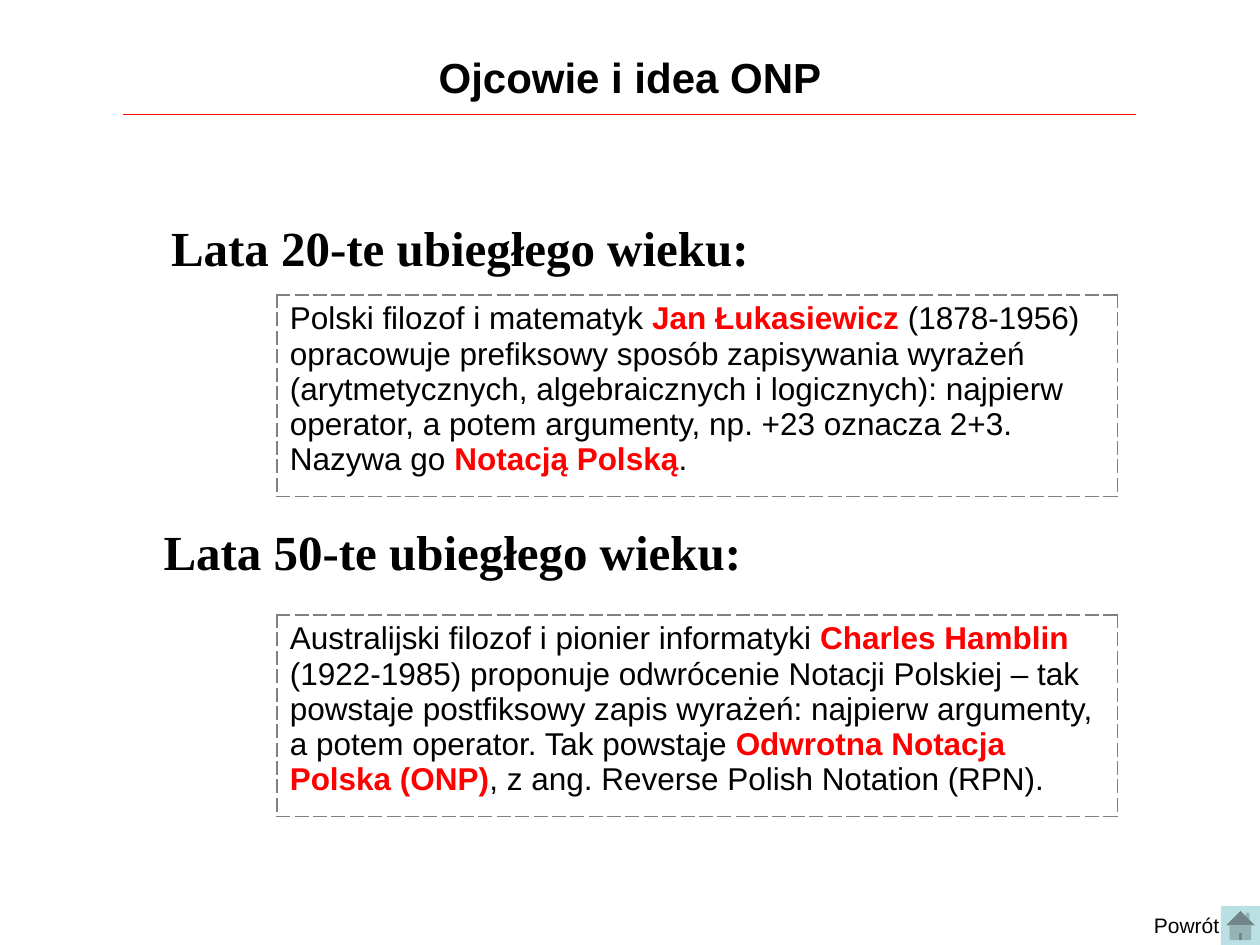
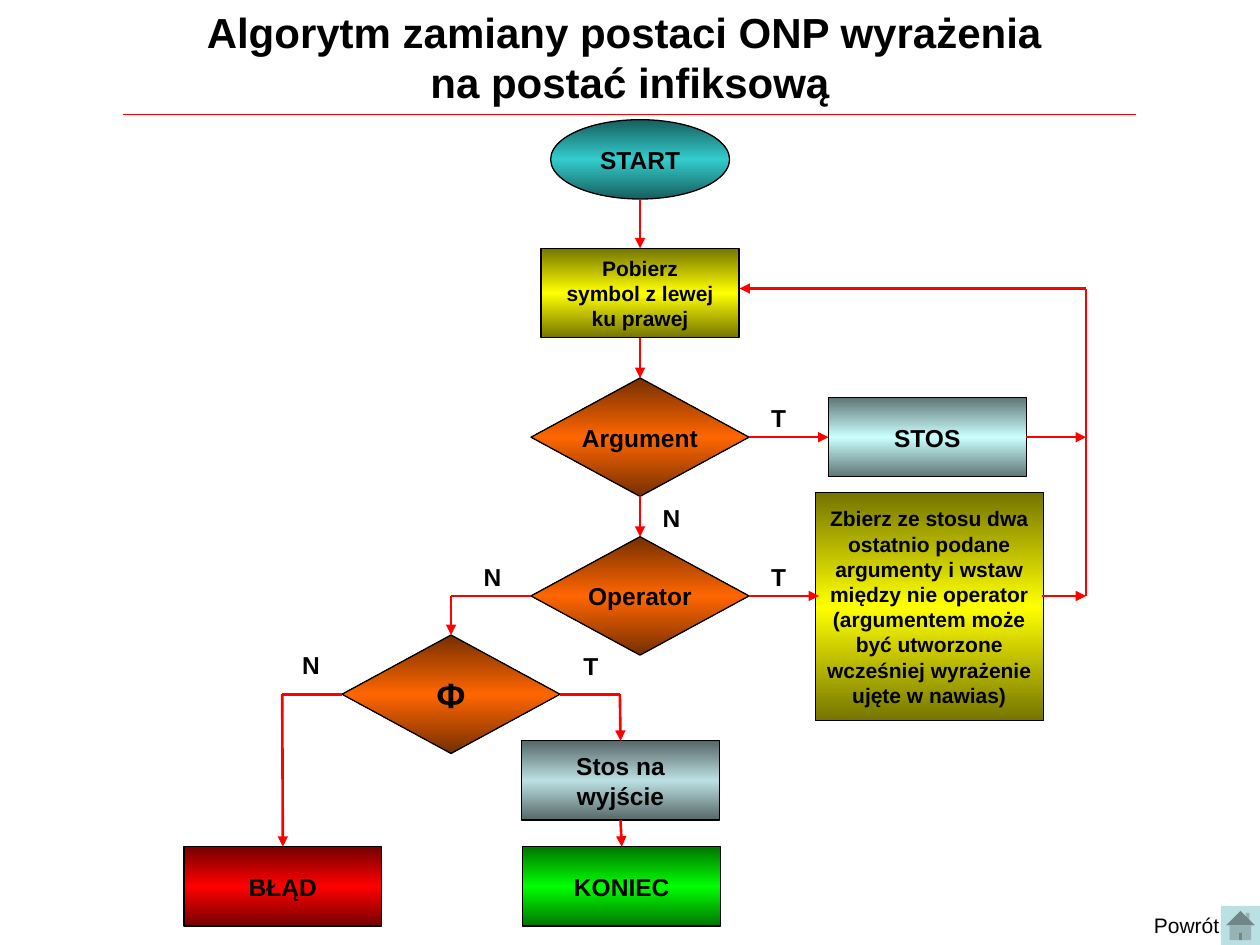
"""Build two slides on reverse Polish notation: its history and a conversion flowchart."""
from copy import deepcopy

from lxml.etree import SubElement
from pptx import Presentation
from pptx.dml.color import RGBColor
from pptx.enum.shapes import MSO_CONNECTOR, MSO_SHAPE as Shape
from pptx.enum.text import MSO_ANCHOR as Anchor, MSO_AUTO_SIZE, PP_ALIGN as Align
from pptx.oxml.ns import qn
from pptx.util import Inches, Pt

BLACK, RED, GRAY, PALE_BLUE = "000000", "FF0000", "808080", "BBE0E3"
YELLOW, ORANGE, TEAL, ICE, GREEN = "FFFF00", "FF6600", "33CCCC", "CCFFFF", "00FF00"
color_of = RGBColor.from_string

presentation = Presentation()
presentation.slide_width, presentation.slide_height = Inches(10), Inches(7.5)
COLUMN = presentation.slide_width / 100
ROW = presentation.slide_height / 75


def write(frame, text, size=14, bold=False, font="Arial", align=Align.LEFT,
          anchor=Anchor.TOP, wrap=True, inset=(1, 0.5)):
    """Fill a text frame; parts between asterisks turn red and bold."""
    frame.word_wrap, frame.vertical_anchor = wrap, anchor
    frame.auto_size = MSO_AUTO_SIZE.NONE
    frame.margin_left = frame.margin_right = int(inset[0] * COLUMN)
    frame.margin_top = frame.margin_bottom = int(inset[1] * ROW)
    paragraph = frame.paragraphs[0]
    paragraph.alignment, paragraph.space_before = align, Pt(0)
    for line_number, line in enumerate(text.split("\v")):
        if line_number:
            paragraph.add_line_break()
        for part_number, part in enumerate(line.split("*")):
            marked = part_number % 2 == 1
            run = paragraph.add_run()
            run.text = part
            run.font.name, run.font.size = font, Pt(size)
            run.font.bold = bold or marked
            run.font.color.rgb = color_of(RED if marked else BLACK)


def connect(slide, start, end, width=1.5, arrow=False):
    """Draw a red line between grid points or (shape, side) pairs."""
    connector = slide.shapes.add_connector(MSO_CONNECTOR.STRAIGHT, 0, 0, 0, 0)
    if isinstance(start[0], (int, float)):
        connector.begin_x, connector.begin_y = int(start[0] * COLUMN), int(start[1] * ROW)
    else:
        connector.begin_connect(*start)
    if isinstance(end[0], (int, float)):
        connector.end_x, connector.end_y = int(end[0] * COLUMN), int(end[1] * ROW)
    else:
        connector.end_connect(*end)
    connector.line.color.rgb = color_of(RED)
    connector.line.width = Pt(width)
    properties = connector.element.spPr
    if arrow:
        SubElement(properties.find(qn("a:ln")), qn("a:tailEnd"), type="triangle")
    SubElement(properties, qn("a:effectLst"))


title_style = presentation.slide_master.element.find(
    f".//{qn('p:titleStyle')}/{qn('a:lvl1pPr')}/{qn('a:defRPr')}")
title_style.set("sz", "2400")

slides = []
for title, top, height in (
    ("Ojcowie i idea ONP", 3.6, 5),
    ("Algorytm zamiany postaci ONP wyrażenia \vna postać infiksową", 0, 9),
):
    slide = presentation.slides.add_slide(presentation.slide_layouts[5])
    slides.append(slide)
    shape = slide.shapes.title
    shape.left, shape.top = 0, int(top * ROW)
    shape.width, shape.height = presentation.slide_width, int(height * ROW)
    write(shape.text_frame, title, size=24, bold=True, align=Align.CENTER)
    connect(slide, (9.8, 9.1), (90.2, 9.1), width=0.75)

    button = slide.shapes.add_shape(Shape.ACTION_BUTTON_HOME, int(96.9 * COLUMN),
                                    int(71.9 * ROW), int(3.1 * COLUMN), int(3.1 * ROW))
    button.shadow.inherit = False
    button.fill.solid()
    button.fill.fore_color.rgb = color_of(PALE_BLUE)
    button.line.fill.background()
    label = slide.shapes.add_textbox(int(90.6 * COLUMN), int(71.9 * ROW),
                                     int(7.9 * COLUMN), int(3 * ROW))
    write(label.text_frame, "Powrót", size=12)

history, flowchart = slides

for heading, left, heading_top, box_top, story in (
    ("Lata 20-te ubiegłego wieku:", 12.6, 16.8, 23.4,
     "Polski filozof i matematyk *Jan Łukasiewicz *(1878-1956) opracowuje prefiksowy "
     "sposób zapisywania wyrażeń (arytmetycznych, algebraicznych i logicznych): najpierw "
     "operator, a potem argumenty, np. +23 oznacza 2+3. Nazywa go *Notacją Polską*."),
    ("Lata 50-te ubiegłego wieku:", 12, 40.9, 48.8,
     "Australijski filozof i pionier informatyki *Charles Hamblin* (1922-1985) proponuje "
     "odwrócenie Notacji Polskiej – tak powstaje postfiksowy zapis wyrażeń: najpierw "
     "argumenty, a potem operator. Tak powstaje *Odwrotna Notacja Polska (ONP)*, "
     "z ang. Reverse Polish Notation (RPN)."),
):
    box = history.shapes.add_textbox(int(left * COLUMN), int(heading_top * ROW),
                                     int(75 * COLUMN), int(5.7 * ROW))
    write(box.text_frame, heading, size=28, bold=True, font="Times New Roman")

    table = history.shapes.add_table(1, 1, int(22 * COLUMN), int(box_top * ROW),
                                     int(66.7 * COLUMN), int(16 * ROW)).table
    table.first_row = table.horz_banding = False
    cell = table.cell(0, 0)
    write(cell.text_frame, story, size=18)
    properties = cell._tc.get_or_add_tcPr()
    for side in ("lnL", "lnR", "lnT", "lnB"):
        border = SubElement(properties, qn(f"a:{side}"), w=str(Pt(1.08)))
        SubElement(SubElement(border, qn("a:solidFill")), qn("a:srgbClr"), val=GRAY)
        SubElement(border, qn("a:prstDash"), val="dash")
    cell.fill.background()

nodes = {}
for name, kind, center_x, center_y, width, height, color, size, text in (
    ("start", Shape.OVAL, 50.8, 12.65, 14.2, 6.3, TEAL, 14, "START"),
    ("fetch", Shape.RECTANGLE, 50.8, 23.25, 15.7, 7.1, YELLOW, 12,
     "Pobierz symbol z lewej ku prawej"),
    ("argument", Shape.DIAMOND, 50.8, 34.7, 17.3, 9.4, ORANGE, 14, "Argument"),
    ("operator", Shape.DIAMOND, 50.8, 47.3, 17.3, 9.4, ORANGE, 14, "Operator"),
    ("empty", Shape.DIAMOND, 35.8, 55.1, 17.3, 9.4, ORANGE, 20, "Φ"),
    ("stack", Shape.RECTANGLE, 73.6, 34.7, 15.7, 6.3, ICE, 14, "STOS"),
    ("combine", Shape.RECTANGLE, 73.75, 48.15, 18.1, 18.1, YELLOW, 12,
     "Zbierz ze stosu dwa ostatnio podane argumenty i wstaw między nie operator "
     "(argumentem może być utworzone wcześniej wyrażenie ujęte w nawias)"),
    ("output", Shape.RECTANGLE, 49.25, 61.95, 15.7, 6.3, PALE_BLUE, 14, "Stos na wyjście"),
    ("error", Shape.RECTANGLE, 22.45, 70.35, 15.7, 6.3, RED, 14, "BŁĄD"),
    ("end", Shape.RECTANGLE, 49.35, 70.35, 15.7, 6.3, GREEN, 14, "KONIEC"),
):
    node = flowchart.shapes.add_shape(
        kind, int((center_x - width / 2) * COLUMN), int((center_y - height / 2) * ROW),
        int(width * COLUMN), int(height * ROW))
    nodes[name] = node
    node.shadow.inherit = False
    node.line.color.rgb = color_of(BLACK)
    node.line.width = Pt(0.75)
    node.fill.gradient()
    node.fill.gradient_angle = 90
    stop_list = node.element.find(f".//{qn('a:gsLst')}")
    stop_list.append(deepcopy(stop_list[0]))
    edge = "".join(f"{round(channel * 0.46):02X}" for channel in color_of(color))
    for stop, shade, position in zip(node.fill.gradient_stops, (edge, color, edge), (0, 0.5, 1)):
        stop.color.rgb, stop.position = color_of(shade), position
    write(node.text_frame, text, size=size, bold=True, align=Align.CENTER,
          anchor=Anchor.MIDDLE, wrap=kind == Shape.RECTANGLE,
          inset=(0 if name == "combine" else 1.7, 0))

TOP, LEFT, BOTTOM, RIGHT = range(4)
RETURN_X = 86.2
for route in (
    [(50.8, 15.8), ("fetch", TOP)],
    [("fetch", BOTTOM), ("argument", TOP)],
    [("argument", BOTTOM), ("operator", TOP)],
    [("argument", RIGHT), ("stack", LEFT)],
    [("stack", RIGHT), (RETURN_X, 34.7)],
    [("operator", RIGHT), (65, 47.3)],
    [(82.7, 47.3), (RETURN_X, 47.3)],
    [(RETURN_X, 47.3), (RETURN_X, 22.9), (58.7, 22.9)],
    [("operator", LEFT), (35.8, 47.3), ("empty", TOP)],
    [("empty", LEFT), (22.4, 55.1), ("error", TOP)],
    [("empty", RIGHT), (49.2, 55.1), ("output", TOP)],
    [("output", BOTTOM), ("end", TOP)],
):
    points = [(nodes.get(first, first), second) for first, second in route]
    for number, (start, end) in enumerate(zip(points, points[1:]), 2):
        connect(flowchart, start, end, arrow=number == len(points))

for answer, left, top in (
    ("T", 60.2, 31.5), ("N", 51.6, 39.4), ("T", 60.2, 44.1),
    ("N", 37.4, 44.1), ("N", 23, 51.1), ("T", 45.3, 51.2),
):
    label = flowchart.shapes.add_textbox(int(left * COLUMN), int(top * ROW),
                                         int(3.2 * COLUMN), int(3.4 * ROW))
    write(label.text_frame, answer, bold=True, align=Align.CENTER)

presentation.save("out.pptx")
